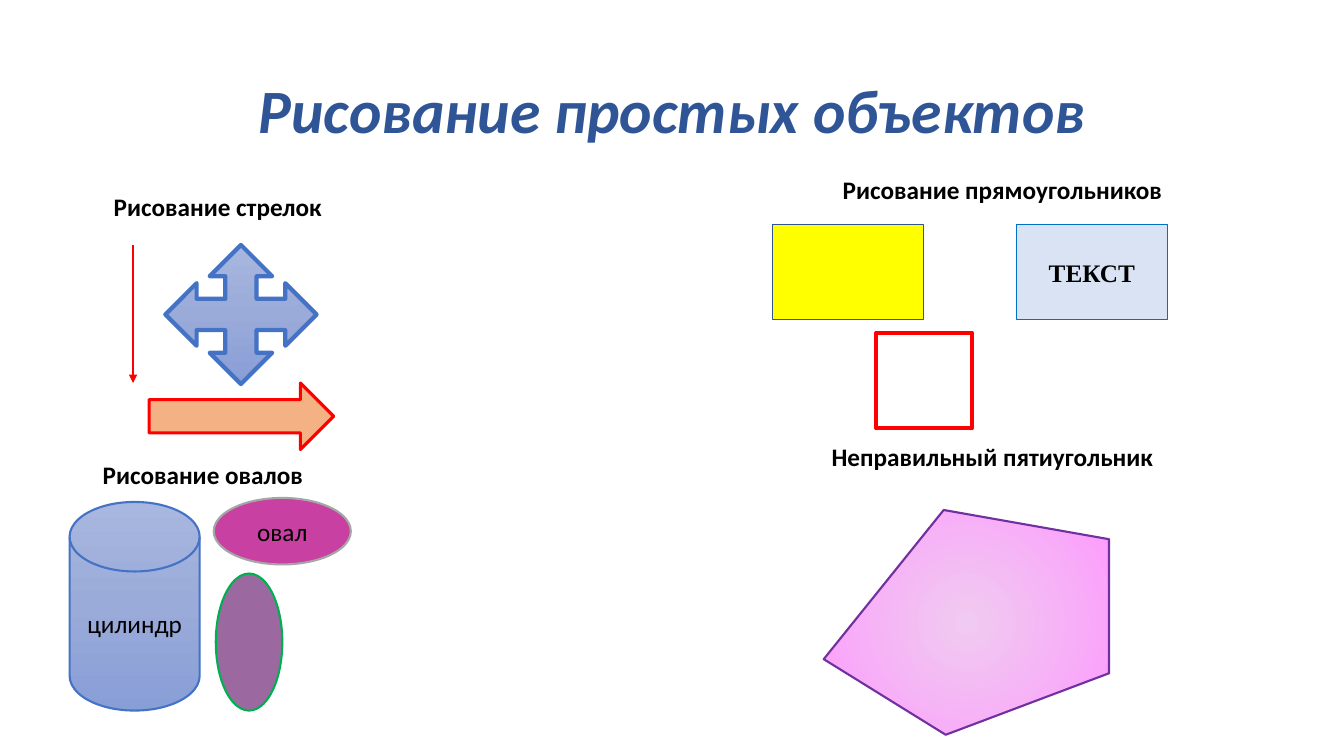
from lxml.etree import SubElement
from pptx import Presentation
from pptx.dml.color import RGBColor
from pptx.enum.shapes import MSO_CONNECTOR, MSO_SHAPE as Preset
from pptx.enum.text import MSO_ANCHOR as Anchor, MSO_AUTO_SIZE as AutoSize, PP_ALIGN as Align
from pptx.oxml.ns import qn
from pptx.util import Inches, Pt

BLUE_GRADIENT = [(0, "A8B7DF", 100), (50, "9AABD9", 100), (100, "889ED7", 100)]
PINK_GRADIENT = [(0, "EDB7ED", 72), (100, "FF99FF", 100)]
PENTAGON = [(8.17, 6.54), (9.36, 5.06), (11, 5.35), (11, 6.68), (9.38, 7.29)]


def color(hex_string):
    return RGBColor.from_string(hex_string)


def write_text(frame, text, size=18, font="Calibri", fill="000000", bold=False,
               italic=False, align=Align.LEFT, anchor=Anchor.TOP, spacing=None):
    frame.word_wrap = True
    frame.vertical_anchor = anchor
    paragraph = frame.paragraphs[0]
    paragraph.alignment = align
    paragraph.line_spacing = spacing
    run = paragraph.add_run()
    run.text = text
    run.font.size = Pt(size)
    run.font.name = font
    run.font.bold = bold
    run.font.italic = italic
    run.font.color.rgb = color(fill)


def add_heading(slide, text, left, top, width):
    box = slide.shapes.add_textbox(Inches(left), Inches(top), Inches(width), Inches(0.4))
    write_text(box.text_frame, text, bold=True)
    box.text_frame.auto_size = AutoSize.SHAPE_TO_FIT_TEXT


def fill_gradient(shape, stops, circular=False):
    shape.fill.gradient()
    gradient = shape._element.spPr.find(qn("a:gradFill"))
    for child in list(gradient):
        gradient.remove(child)
    stop_list = SubElement(gradient, qn("a:gsLst"))
    for position, hex_string, opacity in stops:
        stop = SubElement(stop_list, qn("a:gs"), pos=str(position * 1000))
        stop_color = SubElement(stop, qn("a:srgbClr"), val=hex_string)
        if opacity < 100:
            SubElement(stop_color, qn("a:alpha"), val=str(opacity * 1000))
    if circular:
        circle = SubElement(gradient, qn("a:path"), path="circle")
        SubElement(circle, qn("a:fillToRect"), l="50000", t="50000", r="50000", b="50000")
    else:
        SubElement(gradient, qn("a:lin"), ang="5400000", scaled="0")


def style_shape(shape, fill, line, line_width, circular=False):
    shape.shadow.inherit = False
    if isinstance(fill, list):
        fill_gradient(shape, fill, circular)
    else:
        shape.fill.solid()
        shape.fill.fore_color.rgb = color(fill)
    shape.line.color.rgb = color(line)
    shape.line.width = Pt(line_width)


def add_figure(slide, preset, left, top, width, height, fill, line, line_width,
               text="", rotation=0, **text_format):
    shape = slide.shapes.add_shape(preset, Inches(left), Inches(top),
                                   Inches(width), Inches(height))
    shape.rotation = rotation
    style_shape(shape, fill, line, line_width)
    if text:
        write_text(shape.text_frame, text, align=Align.CENTER,
                   anchor=Anchor.MIDDLE, **text_format)


def add_polygon(slide, points, fill, line, line_width):
    corners = [(Inches(x), Inches(y)) for x, y in points]
    builder = slide.shapes.build_freeform(*corners[0])
    builder.add_line_segments(corners[1:], close=True)
    style_shape(builder.convert_to_shape(), fill, line, line_width, circular=True)


def add_arrow_line(slide, x1, y1, x2, y2, line, line_width):
    arrow = slide.shapes.add_connector(MSO_CONNECTOR.STRAIGHT, Inches(x1), Inches(y1),
                                       Inches(x2), Inches(y2))
    arrow.line.color.rgb = color(line)
    arrow.line.width = Pt(line_width)
    properties = arrow._element.spPr
    SubElement(properties.find(qn("a:ln")), qn("a:tailEnd"), type="triangle")
    SubElement(properties, qn("a:effectLst"))


def add_title(slide, text):
    title = slide.shapes.title
    title.left, title.top = Inches(0.92), Inches(0.4)
    title.width, title.height = Inches(11.5), Inches(1.45)
    write_text(title.text_frame, text, size=44, fill="2F5597", bold=True, italic=True,
               align=Align.CENTER, anchor=Anchor.MIDDLE, spacing=0.9)


def main():
    presentation = Presentation()
    presentation.slide_width = Inches(13.33)
    presentation.slide_height = Inches(7.5)
    slide = presentation.slides.add_slide(presentation.slide_layouts[5])
    add_title(slide, "Рисование простых объектов")

    # Arrows
    add_heading(slide, "Рисование стрелок", 1.03, 1.85, 3.1)
    add_arrow_line(slide, 1.32, 2.43, 1.32, 3.8, "FF0000", 1.5)
    add_figure(slide, Preset.QUAD_ARROW, 1.64, 2.43, 1.5, 1.38, BLUE_GRADIENT, "4472C4", 3)
    add_figure(slide, Preset.RIGHT_ARROW, 1.48, 3.8, 1.83, 0.66, "F4B183", "FF0000", 2.25)

    # Ovals
    add_heading(slide, "Рисование овалов", 0.92, 4.51, 3.1)
    add_figure(slide, Preset.FLOWCHART_MAGNETIC_DISK, 0.69, 4.98, 1.29, 2.07,
               BLUE_GRADIENT, "4472C4", 1.5, "цилиндр")
    add_figure(slide, Preset.OVAL, 2.12, 4.94, 1.36, 0.66, "C840A1", "A6A6A6", 1.5, "овал")
    add_figure(slide, Preset.OVAL, 1.79, 6.04, 1.36, 0.66, "9B699F", "00B050", 1.5, rotation=90)

    # Rectangles
    add_heading(slide, "Рисование прямоугольников", 8.26, 1.68, 3.65)
    add_figure(slide, Preset.RECTANGLE, 7.66, 2.23, 1.5, 0.94, "FFFF00", "325491", 1)
    add_figure(slide, Preset.RECTANGLE, 10.08, 2.23, 1.5, 0.94, "DAE3F3", "0070C0", 1,
               "ТЕКСТ", font="Times New Roman", bold=True)
    add_figure(slide, Preset.RECTANGLE, 8.69, 3.3, 0.95, 0.95, "FFFFFF", "FF0000", 3)

    # Irregular pentagon
    add_heading(slide, "Неправильный пятиугольник", 8.15, 4.33, 4.14)
    add_polygon(slide, PENTAGON, PINK_GRADIENT, "7030A0", 1.5)

    presentation.save("out.pptx")


if __name__ == "__main__":
    main()
